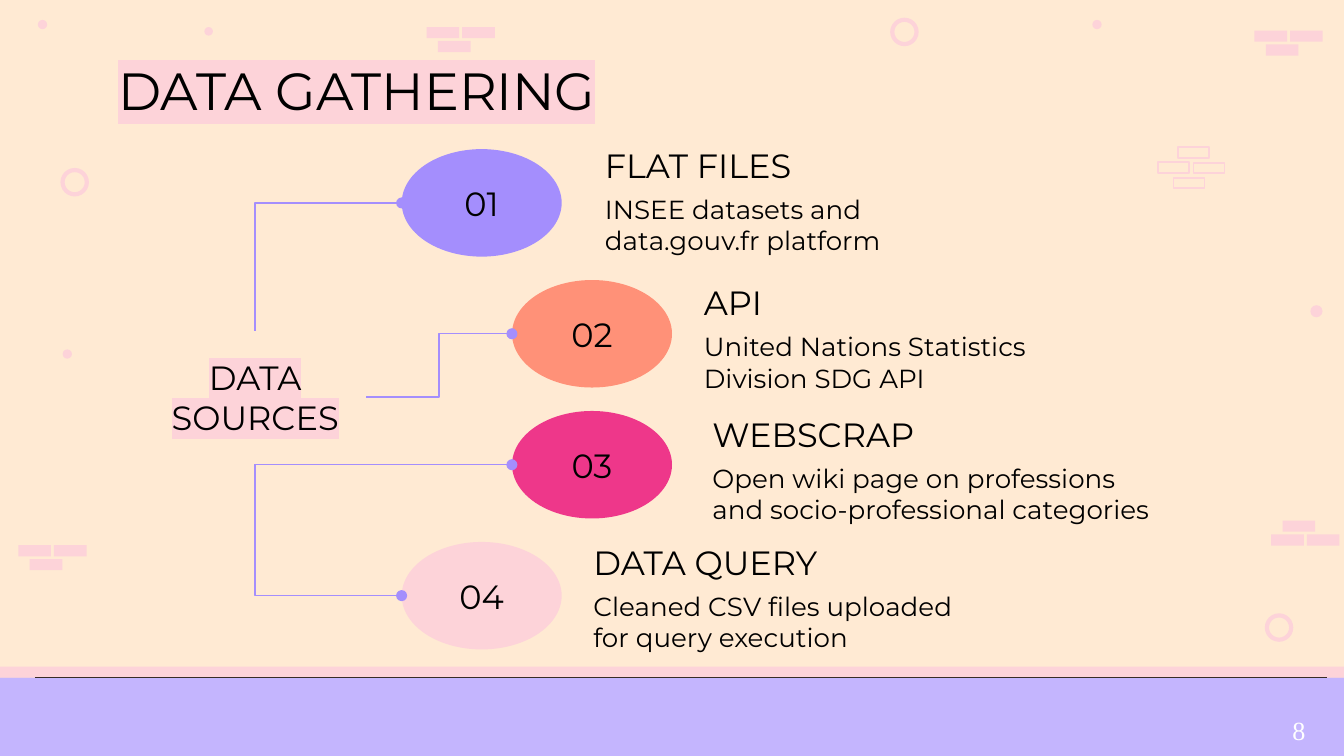
"""Build the data gathering slide."""
from lxml import etree
from pptx import Presentation
from pptx.dml.color import RGBColor
from pptx.enum.shapes import MSO_CONNECTOR as CONN, MSO_SHAPE as SHAPE
from pptx.enum.text import MSO_ANCHOR as ANCHOR, MSO_AUTO_SIZE as AUTO, PP_ALIGN as ALIGN
from pptx.oxml.ns import qn
from pptx.util import Pt

BLACK = RGBColor(0x00, 0x00, 0x00)
WHITE = RGBColor(0xFF, 0xFF, 0xFF)
CREAM = RGBColor(0xFF, 0xEA, 0xD3)
PINK = RGBColor(0xFD, 0xD3, 0xD9)
BROWN = RGBColor(0x38, 0x2B, 0x26)
PURPLE = RGBColor(0xA4, 0x8E, 0xFD)
LILAC = RGBColor(0xC4, 0xB5, 0xFE)
CORAL = RGBColor(0xFF, 0x91, 0x78)
MAGENTA = RGBColor(0xEE, 0x37, 0x8A)

FONT = "Montserrat"
FLOOR = 363
BRICK_W, BRICK_H, BRICK_STEP = 17.5, 6, 19.1
OVAL_W, OVAL_H, OVAL_TOP, OVAL_STEP = 85.7, 57.6, 79.9, 70.15
HUB_X, HUB_TOP, HUB_W, HUB_H = 77.2, 177.1, 119.1, 71.3

# left of oval, fill, left and top of label, width of text, heading, text
SOURCES = [
    (215.2, PURPLE, 317, 72.2, 178, "FLAT FILES", "INSEE datasets and data.gouv.fr platform"),
    (274.3, CORAL, 370, 146, 194, "API", "United Nations Statistics Division SDG API"),
    (274.3, MAGENTA, 374.6, 216.5, 255.6, "WEBSCRAP",
     "Open wiki page on professions and socio-professional categories"),
    (215.2, PINK, 310.8, 285, 217, "DATA QUERY", "Cleaned CSV files uploaded for query execution"),
]
DOTS = [(585.2, 10.7, 5), (702, 163.5, 6.5), (33.6, 187.2, 5), (109.5, 14.5, 4.6), (20.3, 10.7, 5)]
RINGS = [(478, 10.6), (33.5, 91.1), (678.7, 329.7)]
# left of the pair, top of the pair, left and top of the single brick
BRICKS = [(681, 286.3, 687.1, 278.9), (672, 16.4, 678.1, 23.8),
          (228.5, 14.5, 234.6, 21.9), (9.8, 292.1, 15.9, 299.5)]
HOLLOW_BRICKS = [(620.2, 86.9), (631, 79), (628.7, 95.2), (639.4, 87.3)]


def set_attrs(obj, values):
    """Set each named attribute of an object."""
    for name, value in values.items():
        setattr(obj, name, value)


def add_figure(s, kind, x, y, w, h, fill=None, line=None, weight=1):
    """Add a flat preset shape with an optional fill and outline."""
    sp = s.shapes.add_shape(kind, Pt(x), Pt(y), Pt(w), Pt(h))
    sp.shadow.inherit = False
    if fill is None:
        sp.fill.background()
    else:
        sp.fill.solid()
        sp.fill.fore_color.rgb = fill
    if line is None:
        sp.line.fill.background()
    else:
        sp.line.color.rgb = line
        sp.line.width = Pt(weight)
    return sp


def add_line(s, kind, x1, y1, x2, y2, color, weight):
    """Add a connector without a shadow."""
    cxn = s.shapes.add_connector(kind, Pt(x1), Pt(y1), Pt(x2), Pt(y2))
    cxn.line.color.rgb = color
    cxn.line.width = Pt(weight)
    etree.SubElement(cxn._element.spPr, qn("a:effectLst"))
    return cxn


def write_text(sp, text, size, align=ALIGN.LEFT, color=BLACK, font=FONT, highlight=None, wrap=True):
    """Write one formatted paragraph into a shape."""
    tf = sp.text_frame
    frame = {"word_wrap": wrap, "auto_size": AUTO.NONE, "vertical_anchor": ANCHOR.MIDDLE}
    margins = ("margin_left", "margin_top", "margin_right", "margin_bottom")
    set_attrs(tf, {**frame, **dict.fromkeys(margins, Pt(7.2))})
    p = tf.paragraphs[0]
    p.alignment = align
    r = p.add_run()
    r.text = text
    set_attrs(r.font, {"size": Pt(size), "name": font, "bold": False})
    r.font.color.rgb = color
    if highlight is not None:
        mark = etree.Element(qn("a:highlight"))
        etree.SubElement(mark, qn("a:srgbClr"), val=str(highlight))
        r.font._element.find(qn("a:solidFill")).addnext(mark)


def add_text(s, x, y, w, h, text, size, **style):
    """Add a text box."""
    write_text(s.shapes.add_textbox(Pt(x), Pt(y), Pt(w), Pt(h)), text, size, **style)


def add_backdrop(s):
    """Draw the wall, the floor line and the scattered ornaments."""
    s.background.fill.solid()
    s.background.fill.fore_color.rgb = LILAC
    add_figure(s, SHAPE.RECTANGLE, 0, 0, 720, FLOOR, CREAM)
    add_figure(s, SHAPE.RECTANGLE, 0, FLOOR - 5.8, 720, 5.8, PINK)
    add_line(s, CONN.STRAIGHT, 18.7, FLOOR, 711, FLOOR, BROWN, 0.5)
    for x, y, single_x, single_y in BRICKS:
        for left, top in ((x, y), (x + BRICK_STEP, y), (single_x, single_y)):
            add_figure(s, SHAPE.RECTANGLE, left, top, BRICK_W, BRICK_H, PINK)
    for x, y in HOLLOW_BRICKS:
        add_figure(s, SHAPE.RECTANGLE, x, y, 16.6, 5.6, line=PINK)
    for x, y, size in DOTS:
        add_figure(s, SHAPE.OVAL, x, y, size, size, PINK)
    for x, y in RINGS:
        add_figure(s, SHAPE.OVAL, x, y, 13, 13, line=PINK, weight=2.25)


def add_branch(s, x, y, end_x, end_y, preset):
    """Join an oval to the hub with an elbow that has a dot at the oval."""
    cxn = add_line(s, CONN.ELBOW, x, y, end_x, end_y, PURPLE, 0.75)
    cxn._element.spPr.find(qn("a:prstGeom")).set("prst", preset)
    etree.SubElement(cxn.line._get_or_add_ln(), qn("a:headEnd"), type="oval")


def add_source(s, i, x, fill, label_x, label_y, text_w, heading, text):
    """Add one numbered source with its branch and label."""
    y = OVAL_TOP + i * OVAL_STEP
    oval = add_figure(s, SHAPE.OVAL, x, y, OVAL_W, OVAL_H, fill)
    write_text(oval, f"{i + 1:02}", 18, align=ALIGN.CENTER)
    mid = y + OVAL_H / 2
    if HUB_TOP < mid < HUB_TOP + HUB_H:
        add_branch(s, x, mid, HUB_X + HUB_W, HUB_TOP + HUB_H / 2, "bentConnector3")
    else:
        edge = HUB_TOP if mid < HUB_TOP else HUB_TOP + HUB_H
        add_branch(s, x, mid, HUB_X + HUB_W / 2, edge, "bentConnector2")
    add_text(s, label_x, label_y, 178, 32, heading, 18)
    add_text(s, label_x, label_y + 32, text_w, 32, text, 14)


def add_title(s, text):
    """Move the title above the backdrop and fill it in."""
    title = s.shapes.title
    s.shapes._spTree.append(title._element)
    set_attrs(title, {"left": Pt(56.2), "top": Pt(31.9), "width": Pt(607), "height": Pt(32.4)})
    write_text(title, text, 28, highlight=PINK)


def main():
    """Build and save the presentation."""
    prs = Presentation()
    set_attrs(prs, {"slide_width": Pt(720), "slide_height": Pt(405)})
    s = prs.slides.add_slide(prs.slide_layouts[5])
    add_backdrop(s)
    add_title(s, "DATA GATHERING")
    add_text(s, HUB_X, HUB_TOP, HUB_W, HUB_H, "DATA SOURCES", 18, align=ALIGN.CENTER, highlight=PINK)
    for i, source in enumerate(SOURCES):
        add_source(s, i, *source)
    add_text(s, 685.2, 379, 23, 24.5, "8", 14, color=WHITE, font="Times New Roman", wrap=False)
    prs.save("out.pptx")


if __name__ == "__main__":
    main()
